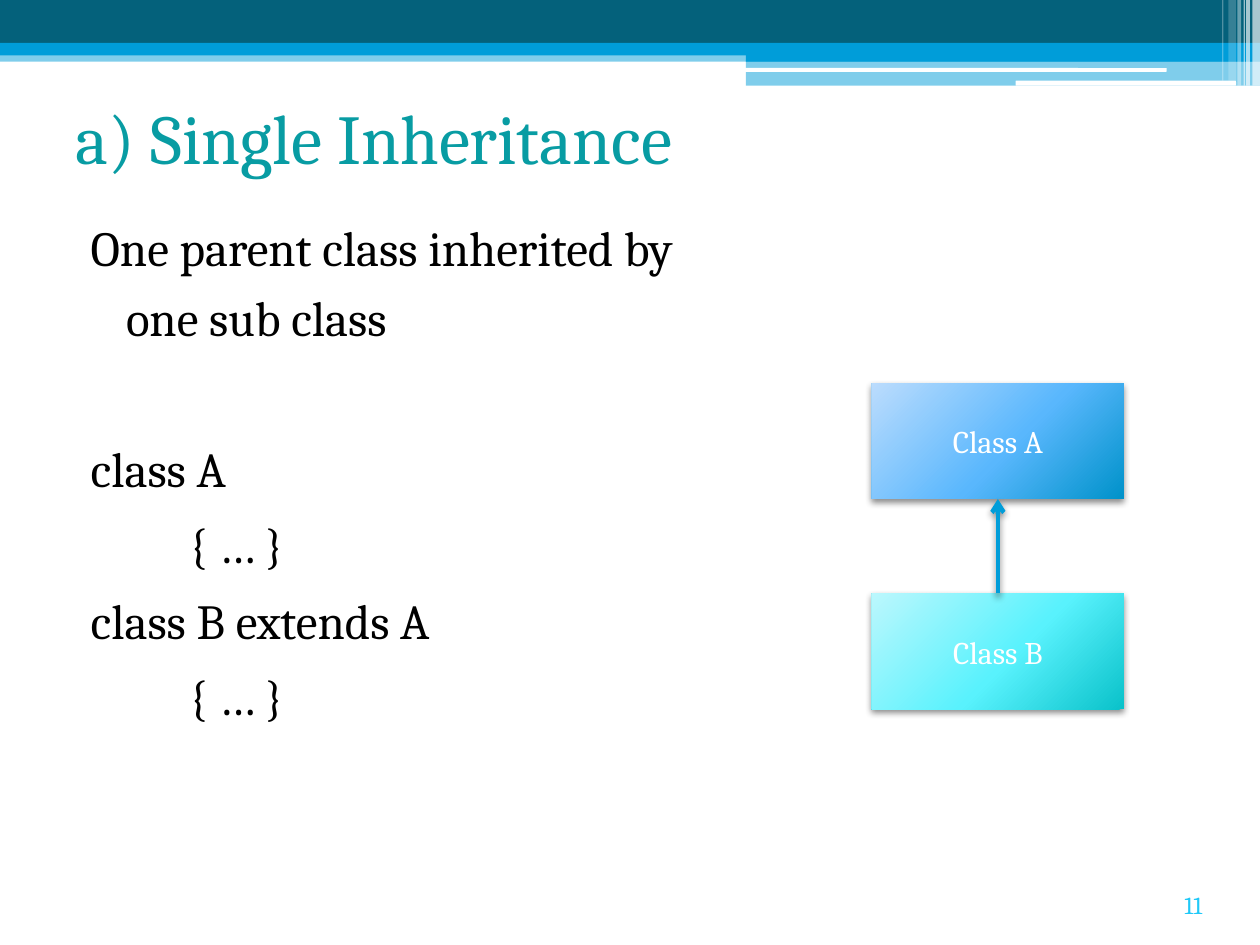
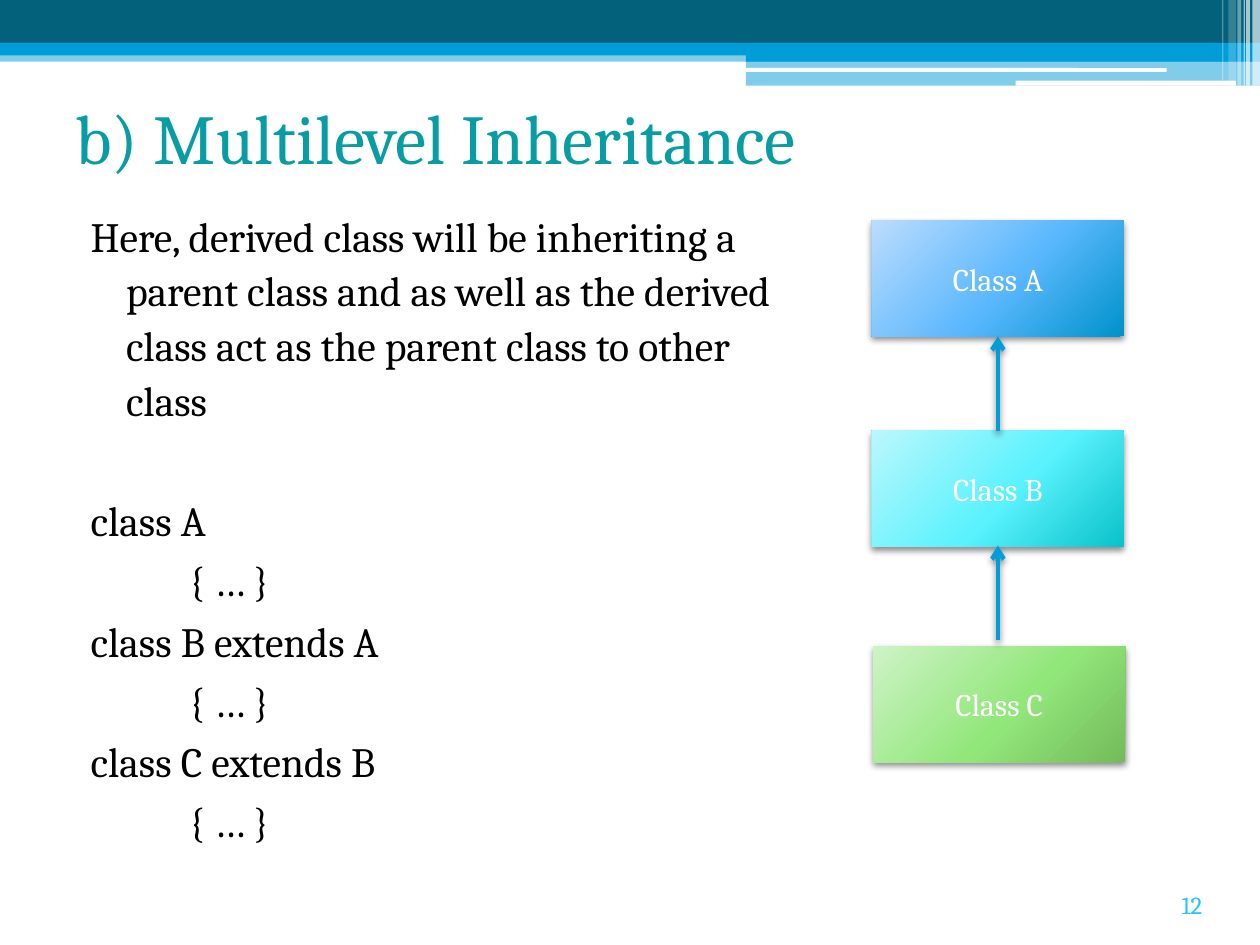
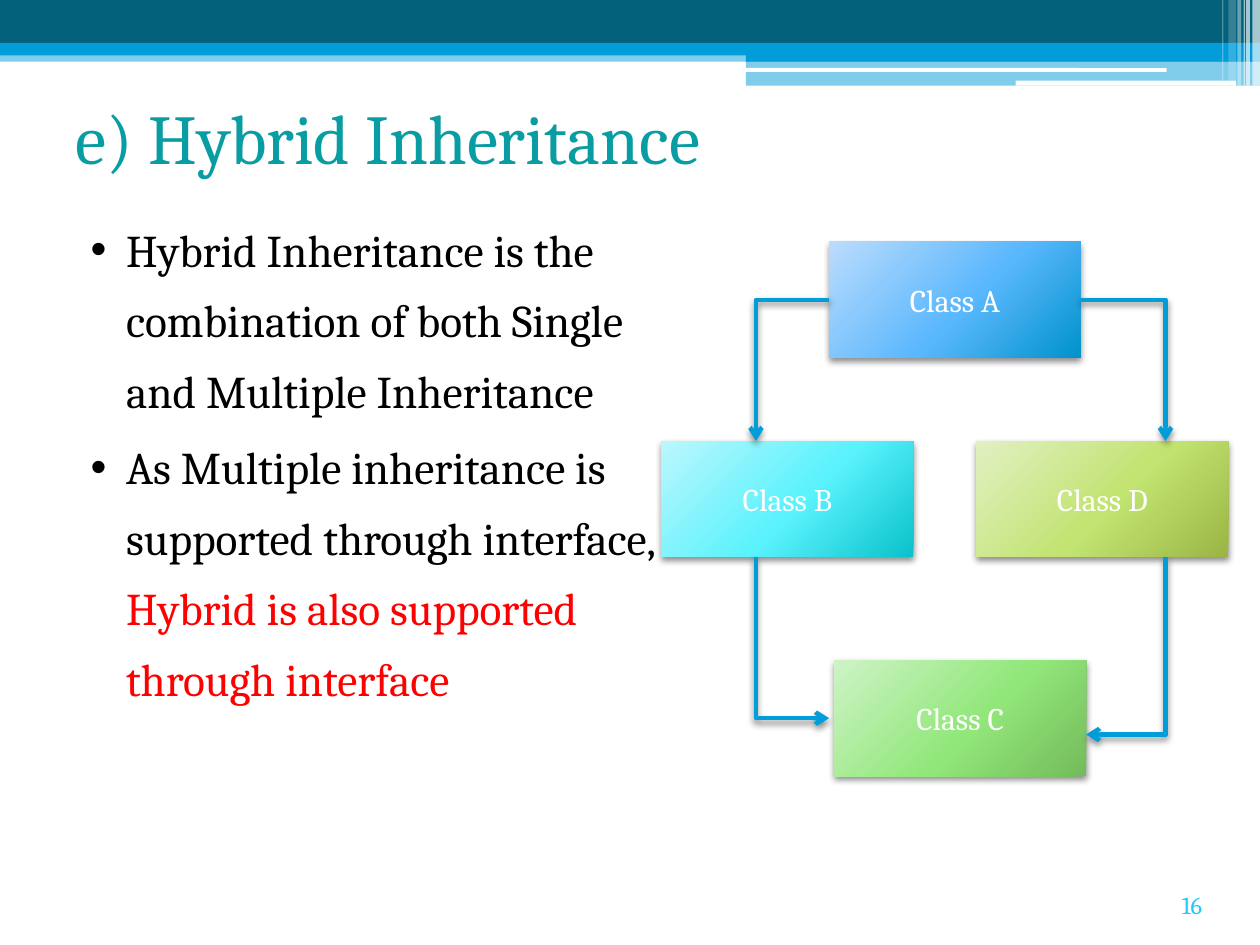
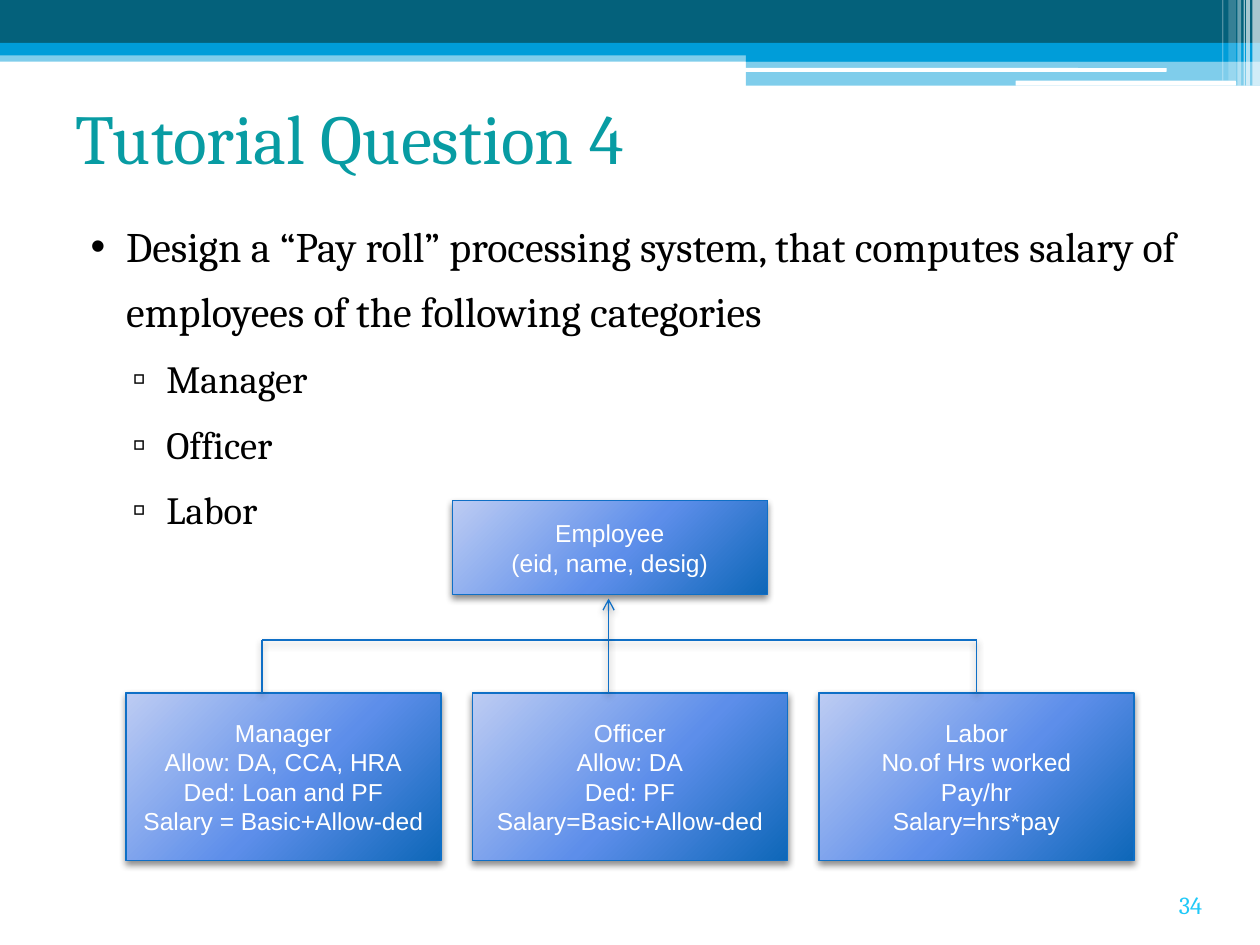
from dataclasses import dataclass

from lxml.etree import SubElement
from pptx import Presentation
from pptx.dml.color import RGBColor
from pptx.enum.shapes import MSO_CONNECTOR, MSO_SHAPE
from pptx.enum.text import MSO_ANCHOR, MSO_AUTO_SIZE, PP_ALIGN
from pptx.oxml import parse_xml
from pptx.oxml.ns import nsdecls, qn
from pptx.util import Inches, Pt


@dataclass(frozen=True)
class Theme:
    """Colours, fonts and type sizes of the whole deck."""
    font: str = "Cambria"
    diagram_font: str = "Arial"
    title: str = "089CA3"
    text: str = "000000"
    alert: str = "FF0000"
    number: str = "20C9F8"
    white: str = "FFFFFF"
    dark_band: str = "04617B"
    accent: str = "009DD9"
    outline: str = "0F6FC6"
    # Gradient stops at 0, 55 and 100 percent
    blue: tuple = ("BBDCFD", "59B7FD", "0092CA")
    cyan: tuple = ("BBF7FD", "59F2FD", "0AC2CA")
    green: tuple = ("CEF3C6", "92E77B", "74BC5B")
    olive: tuple = ("E1F0C2", "C1E36F", "9AB544")
    royal: tuple = ("BDCCF3", "5D8EEA", "0E67B8")
    title_size: float = 40
    sub_size: float = 22
    class_size: float = 18
    small_size: float = 14
    arrow_width: float = 2.5
    thin_width: float = 0.75


@dataclass
class Line:
    """One paragraph of the body; gap is extra space above, in points."""
    text: str
    bullet: str = ""
    level: int = 0
    gap: float = 0
    alert: str = ""


class Deck:
    def __init__(self, theme):
        self.theme = theme
        self.presentation = Presentation()
        self.presentation.slide_width = Inches(10)
        self.presentation.slide_height = Inches(7.5)
        self.layout = self.presentation.slide_layouts[1]
        self.slide = None

    def new_slide(self, title, number):
        theme = self.theme
        first = self.slide is None
        self.slide = self.presentation.slides.add_slide(self.layout)
        if first:
            self.add_bands()
        # Title
        shape = self.slide.shapes.title
        self.place(shape, 0.5, 0.67, 9, 0.83)
        frame = shape.text_frame
        frame.text = title
        frame.auto_size = MSO_AUTO_SIZE.NONE
        frame.vertical_anchor = MSO_ANCHOR.MIDDLE
        self.format(frame, theme.title_size, theme.title, PP_ALIGN.LEFT)
        # Slide number
        box = self.slide.shapes.add_textbox(
            Inches(8.58), Inches(6.95), Inches(1.06), Inches(0.4))
        frame = box.text_frame
        frame.word_wrap = True
        frame.text = str(number)
        frame.vertical_anchor = MSO_ANCHOR.BOTTOM
        self.format(frame, theme.small_size, theme.number, PP_ALIGN.RIGHT)

    def add_bands(self):
        """Draw the top bands once and hand them to the layout."""
        theme = self.theme
        bars = [
            (0, 0.4, 10, 0.09, theme.accent, 50),
            (0, 0, 10, 0.34, theme.dark_band, 100),
            (0, 0.34, 10, 0.1, theme.accent, 100),
            (5.92, 0.39, 4.08, 0.1, theme.accent, 100),
            (5.92, 0.48, 4.08, 0.2, theme.accent, 50),
        ]
        rounded = [(5.91, 0.54, 3.35, 0.03), (8.06, 0.64, 1.75, 0.04)]
        stripes = [
            (9.94, 0.06, 0.68, 65), (9.89, 0.03, 0.68, 65), (9.87, 0.01, 0.68, 60),
            (9.82, 0.03, 0.68, 40), (9.75, 0.06, 0.64, 20), (9.7, 0.01, 0.64, 30),
        ]
        shapes = [self.band(*bar) for bar in bars]
        shapes += [self.band(*bar, theme.white, 100, MSO_SHAPE.ROUNDED_RECTANGLE)
                   for bar in rounded]
        shapes += [self.band(left, 0, width, height, theme.white, opacity)
                   for left, width, height, opacity in stripes]
        tree = self.layout.shapes.element
        for position, shape in enumerate(shapes, start=2):
            tree.insert(position, shape.element)

    def band(self, left, top, width, height, color, opacity, kind=MSO_SHAPE.RECTANGLE):
        shape = self.slide.shapes.add_shape(
            kind, Inches(left), Inches(top), Inches(width), Inches(height))
        shape.shadow.inherit = False
        shape.fill.solid()
        shape.fill.fore_color.rgb = RGBColor.from_string(color)
        shape.line.fill.background()
        if opacity < 100:
            color_node = shape.element.spPr.find(".//" + qn("a:srgbClr"))
            SubElement(color_node, qn("a:alpha"), val=str(opacity * 1000))
        return shape

    def body(self, lines, width, height, size, spacing):
        theme = self.theme
        shape = self.slide.placeholders[1]
        self.place(shape, 0.5, 1.58, width, height)
        frame = shape.text_frame
        frame.auto_size = MSO_AUTO_SIZE.NONE
        frame.vertical_anchor = MSO_ANCHOR.TOP
        frame.text = "\n".join(line.text for line in lines)
        for paragraph, line in zip(frame.paragraphs, lines):
            paragraph.level = line.level
            paragraph.line_spacing = spacing
            paragraph.space_before = Pt(3 + line.gap)
            self.bullet(paragraph, line)
            if line.alert:
                paragraph.add_run().text = line.alert
            text_size = theme.sub_size if line.level else size
            self.format_paragraph(paragraph, text_size, theme.text, PP_ALIGN.LEFT)
            if line.alert:
                paragraph.runs[-1].font.color.rgb = RGBColor.from_string(theme.alert)

    def bullet(self, paragraph, line):
        margin, indent = ((0.4, -0.28), (0.72, -0.27))[line.level]
        properties = paragraph._p.get_or_add_pPr()
        properties.set("marL", str(Inches(margin)))
        properties.set("indent", str(Inches(indent)))
        if line.bullet:
            SubElement(properties, qn("a:buFont"), typeface=self.theme.diagram_font)
            SubElement(properties, qn("a:buChar"), char=line.bullet)
        else:
            SubElement(properties, qn("a:buNone"))

    def box(self, text, left, top, width, height, stops, size, font, outline=None):
        shape = self.slide.shapes.add_shape(
            MSO_SHAPE.RECTANGLE, Inches(left), Inches(top), Inches(width), Inches(height))
        self.gradient(shape, stops)
        if outline:
            shape.line.color.rgb = RGBColor.from_string(outline)
            shape.line.width = Pt(self.theme.thin_width)
        else:
            shape.line.fill.background()
        self.shadow(shape)
        frame = shape.text_frame
        frame.word_wrap = True
        frame.vertical_anchor = MSO_ANCHOR.MIDDLE
        frame.text = text
        self.format(frame, size, self.theme.white, PP_ALIGN.CENTER, font)

    def class_box(self, letter, left, top, stops):
        self.box(f"Class {letter}", left, top, 2, 0.92, stops,
                 self.theme.class_size, self.theme.font)

    def record_box(self, text, left, top, height):
        self.box(text, left, top, 2.5, height, self.theme.royal,
                 self.theme.small_size, self.theme.diagram_font, self.theme.outline)

    def connector(self, start, end, color, width, arrow=None, elbow=False):
        """An elbow leaves its start horizontally; arrow is headEnd or tailEnd."""
        kind = MSO_CONNECTOR.ELBOW if elbow else MSO_CONNECTOR.STRAIGHT
        connector = self.slide.shapes.add_connector(
            kind, *(Inches(value) for value in (*start, *end)))
        if elbow:
            connector.element.spPr.find(qn("a:prstGeom")).set("prst", "bentConnector2")
        connector.line.color.rgb = RGBColor.from_string(color)
        connector.line.width = Pt(width)
        if arrow:
            SubElement(connector.line._get_or_add_ln(), qn("a:" + arrow), type="arrow")
        self.shadow(connector)

    def class_arrow(self, start, end, arrow="tailEnd", elbow=False):
        self.connector(start, end, self.theme.accent, self.theme.arrow_width, arrow, elbow)

    def tree_line(self, start, end, arrow=None):
        self.connector(start, end, self.theme.outline, self.theme.thin_width, arrow)

    def gradient(self, shape, stops):
        shape.fill.gradient()
        stop_nodes = "".join(
            f'<a:gs pos="{position}"><a:srgbClr val="{color}"/></a:gs>'
            for position, color in zip((0, 55000, 100000), stops))
        properties = shape.element.spPr
        properties.replace(properties.find(qn("a:gradFill")), parse_xml(
            f'<a:gradFill {nsdecls("a")} rotWithShape="1"><a:gsLst>{stop_nodes}</a:gsLst>'
            '<a:path path="circle"><a:fillToRect l="-40000" t="-90000" r="140000" '
            'b="190000"/></a:path></a:gradFill>'))

    def shadow(self, shape):
        shape.element.spPr.append(parse_xml(
            f'<a:effectLst {nsdecls("a")}><a:outerShdw blurRad="{Pt(4)}" dist="{Pt(2)}" '
            'dir="5400000" rotWithShape="0"><a:srgbClr val="000000">'
            '<a:alpha val="45000"/></a:srgbClr></a:outerShdw></a:effectLst>'))

    def place(self, shape, left, top, width, height):
        shape.left, shape.top = Inches(left), Inches(top)
        shape.width, shape.height = Inches(width), Inches(height)

    def format(self, frame, size, color, alignment, font=None):
        for paragraph in frame.paragraphs:
            self.format_paragraph(paragraph, size, color, alignment, font)

    def format_paragraph(self, paragraph, size, color, alignment, font=None):
        paragraph.alignment = alignment
        for run in paragraph.runs:
            run.font.name = font or self.theme.font
            run.font.size = Pt(size)
            run.font.color.rgb = RGBColor.from_string(color)


theme = Theme()
deck = Deck(theme)
CODE_BLOCK = "\t\t{ … }"

# Single inheritance
deck.new_slide("a) Single Inheritance", 11)
deck.body([
    Line("One parent class inherited by one sub class"),
    Line("class A", gap=43),
    Line(CODE_BLOCK),
    Line("class B extends A"),
    Line(CODE_BLOCK),
], 5.17, 5.08, 28, 1.2)
deck.class_box("A", 6.92, 3.04, theme.blue)
deck.class_box("B", 6.92, 4.71, theme.cyan)
deck.class_arrow((7.92, 4.71), (7.92, 3.96))

# Multilevel inheritance
deck.new_slide("b) Multilevel Inheritance", 12)
deck.body([
    Line("Here, derived class will be inheriting a parent class and as well as "
         "the derived class act as the parent class to other class"),
    Line("class A", gap=34),
    Line(CODE_BLOCK),
    Line("class B extends A"),
    Line(CODE_BLOCK),
    Line("class C extends B"),
    Line(CODE_BLOCK),
], 6.08, 5.67, 23.8, 1.1)
deck.class_box("A", 6.92, 1.75, theme.blue)
deck.class_box("B", 6.92, 3.42, theme.cyan)
deck.class_box("C", 6.93, 5.13, theme.green)
for bottom in (3.42, 5.08):
    deck.class_arrow((7.92, bottom), (7.92, bottom - 0.75))

# Hybrid inheritance
deck.new_slide("e) Hybrid Inheritance", 16)
deck.body([
    Line("Hybrid Inheritance is the combination of both Single and Multiple Inheritance",
         bullet="•"),
    Line("As Multiple inheritance is supported through interface, ", bullet="•",
         alert="Hybrid is also supported through interface"),
], 5, 5.08, 25.9, 1.3)
deck.class_box("A", 6.58, 1.92, theme.blue)
deck.class_box("B", 5.25, 3.5, theme.cyan)
deck.class_box("C", 6.62, 5.24, theme.green)
deck.class_box("D", 7.75, 3.5, theme.olive)
deck.class_arrow((6.58, 2.38), (6, 3.5), elbow=True)
deck.class_arrow((8.58, 2.38), (9.25, 3.5), elbow=True)
deck.class_arrow((6.58, 5.7), (6, 4.42), "headEnd", elbow=True)
deck.class_arrow((8.62, 5.83), (9.25, 4.42), "headEnd", elbow=True)

# Payroll exercise
deck.new_slide("Tutorial Question 4", 34)
deck.body([
    Line("Design a “Pay roll” processing system, that computes salary of employees "
         "of the following categories", bullet="•"),
    *(Line(name, bullet="▫", level=1) for name in ("Manager", "Officer", "Labor")),
], 9, 5.08, 24, 1.3)
deck.record_box("Employee\n(eid, name, desig)", 3.59, 3.97, 0.75)
records = [
    "Manager\nAllow: DA, CCA, HRA\nDed: Loan and PF\nSalary = Basic+Allow-ded",
    "Officer\nAllow: DA\nDed: PF\nSalary=Basic+Allow-ded",
    "Labor\nNo.of Hrs worked\nPay/hr\nSalary=hrs*pay",
]
for column, record in enumerate(records):
    deck.record_box(record, 1 + 2.75 * column, 5.5, 1.33)
# Tree from the employee down to the three categories
deck.tree_line((2.08, 5.08), (7.75, 5.08))
for center in (2.08, 4.83, 7.75):
    deck.tree_line((center, 5.08), (center, 5.5))
deck.tree_line((4.83, 5.08), (4.83, 4.75), "tailEnd")

deck.presentation.save("out.pptx")
